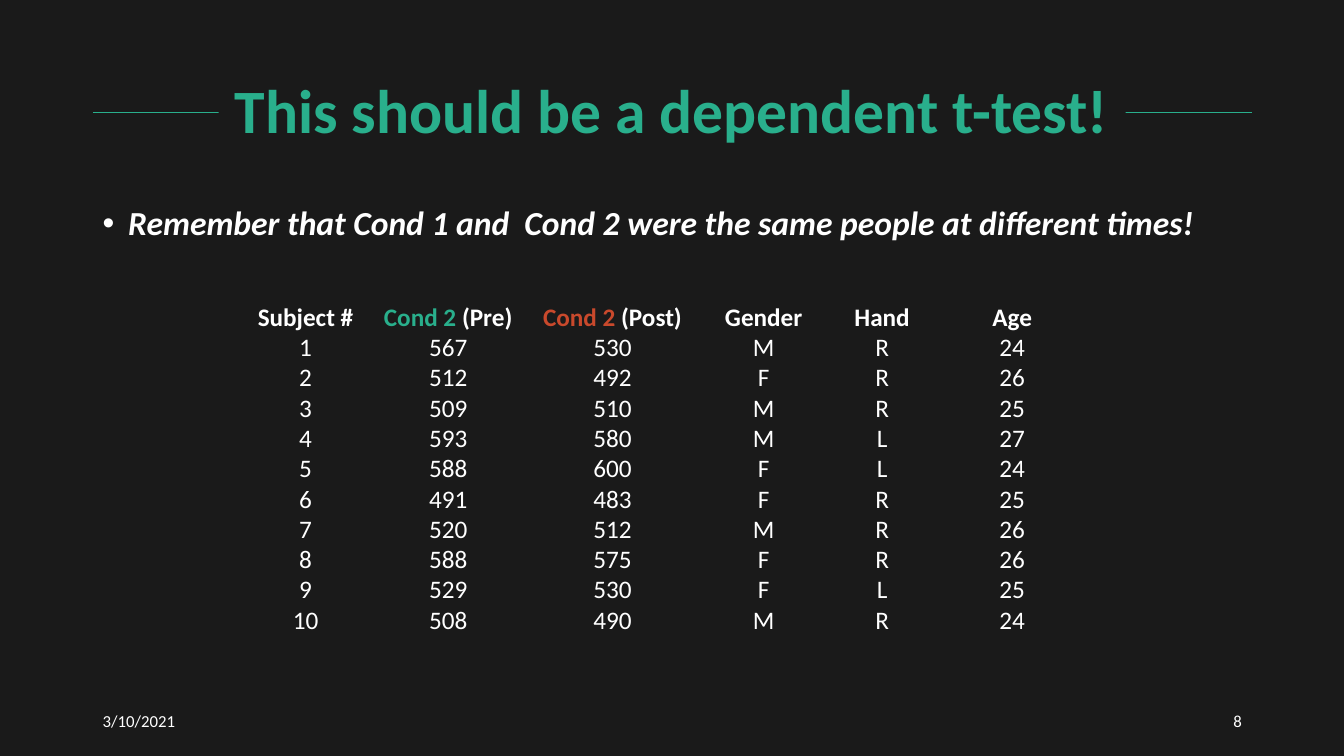
"""Build the dependent t-test slide with its table of reaction data."""
import pptx
import pptx.dml.color
import pptx.enum.shapes
import pptx.enum.text
import pptx.oxml.ns
import pptx.util
from lxml import etree

Cm = pptx.util.Cm
Pt = pptx.util.Pt
PP_ALIGN = pptx.enum.text.PP_ALIGN
MSO_ANCHOR = pptx.enum.text.MSO_ANCHOR
qn = pptx.oxml.ns.qn

DARK, GREEN, RED, WHITE = "1A1A1A", "29AF8C", "C9492C", "FFFFFF"
LEFT, RIGHT = 2.34, 31.55


def rgb(hex_string):
    return pptx.dml.color.RGBColor.from_string(hex_string)


def add_run(p, text, color, **fmt):
    r = p.add_run()
    r.text = text
    r.font.color.rgb = rgb(color)
    for name, value in {"name": "Calibri", **fmt}.items():
        setattr(r.font, name, value)


prs = pptx.Presentation()
prs.slide_width, prs.slide_height = Cm(33.87), Cm(19.05)
s = prs.slides.add_slide(prs.slide_layouts[5])
s.background.fill.solid()
s.background.fill.fore_color.rgb = rgb(DARK)

title = s.shapes.title
box = {"left": 5.51, "top": 1.27, "width": 22.86, "height": 3.18}
for name, value in box.items():
    setattr(title, name, Cm(value))
title.fill.solid()
title.fill.fore_color.rgb = rgb(DARK)
title.text_frame.vertical_anchor = MSO_ANCHOR.MIDDLE
p = title.text_frame.paragraphs[0]
p.alignment, p.line_spacing = PP_ALIGN.CENTER, 0.9
add_run(p, "This should be a dependent t-test!", GREEN, size=Pt(44), bold=True)

rule = s.shapes.add_connector(pptx.enum.shapes.MSO_CONNECTOR.STRAIGHT,
                              Cm(LEFT), Cm(2.82), Cm(RIGHT), Cm(2.82))
rule.line.color.rgb = rgb(GREEN)
rule.line.width = Pt(0.5)
etree.SubElement(rule.element.spPr, qn("a:effectLst"))
title.element.addprevious(rule.element)

body = s.shapes.add_textbox(Cm(LEFT), Cm(5.08), Cm(RIGHT - LEFT), Cm(4.52))
body.text_frame.word_wrap = True
p = body.text_frame.paragraphs[0]
p.line_spacing = 0.9
pPr = p._p.get_or_add_pPr()
pPr.set("marL", str(Cm(0.64)))
pPr.set("indent", str(Cm(-0.64)))
etree.SubElement(pPr, qn("a:buFont")).set("typeface", "Arial")
etree.SubElement(pPr, qn("a:buChar")).set("char", "•")
add_run(p, "Remember that Cond 1 and  Cond 2 were the same people at different times!",
        WHITE, size=Pt(24), bold=True, italic=True)

header = [
    [("Subject #", WHITE)],
    [("Cond 2 ", GREEN), ("(Pre)", WHITE)],
    [("Cond 2", RED), (" (Post)", WHITE)],
    [("Gender", WHITE)],
    [("Hand", WHITE)],
    [("Age", WHITE)],
]
subjects = [
    (567, 530, "M", "R", 24),
    (512, 492, "F", "R", 26),
    (509, 510, "M", "R", 25),
    (593, 580, "M", "L", 27),
    (588, 600, "F", "L", 24),
    (491, 483, "F", "R", 25),
    (520, 512, "M", "R", 26),
    (588, 575, "F", "R", 26),
    (529, 530, "F", "L", 25),
    (508, 490, "M", "R", 24),
]
rows = [header] + [[[(str(value), WHITE)] for value in (number, *subject)]
                   for number, subject in enumerate(subjects, 1)]
widths = [3.56, 3.63, 4.65, 2.97, 3, 3.56]
row_height = 0.76
frame = s.shapes.add_table(len(rows), len(widths), Cm(5.92), Cm(7.62),
                           Cm(sum(widths)), Cm(row_height * len(rows)))
table = frame.table
for style in frame.element.iter(qn("a:tableStyleId")):
    style.text = "{2D5ABB26-0587-4C30-8999-92F81FD0307C}"
for column, width in zip(table.columns, widths):
    column.width = Cm(width)
cell_format = {"margin_left": 0, "margin_right": 0, "margin_top": 0,
               "margin_bottom": 0, "vertical_anchor": MSO_ANCHOR.BOTTOM}
for i, row in enumerate(rows):
    table.rows[i].height = Cm(row_height)
    for j, runs in enumerate(row):
        cell = table.cell(i, j)
        cell.fill.background()
        for name, value in cell_format.items():
            setattr(cell, name, value)
        p = cell.text_frame.paragraphs[0]
        p.alignment = PP_ALIGN.CENTER
        for text, color in runs:
            add_run(p, text, color, size=Pt(18), bold=i == 0)

footer_width = 7.62
for left, text, align in [(LEFT, "3/10/2021", PP_ALIGN.LEFT),
                          (RIGHT - footer_width, "8", PP_ALIGN.RIGHT)]:
    sp = s.shapes.add_textbox(Cm(left), Cm(17.65), Cm(footer_width), Cm(1.02))
    tf = sp.text_frame
    tf.word_wrap = True
    tf.vertical_anchor = MSO_ANCHOR.MIDDLE
    p = tf.paragraphs[0]
    p.alignment = align
    add_run(p, text, WHITE, size=Pt(12))

prs.save("out.pptx")
